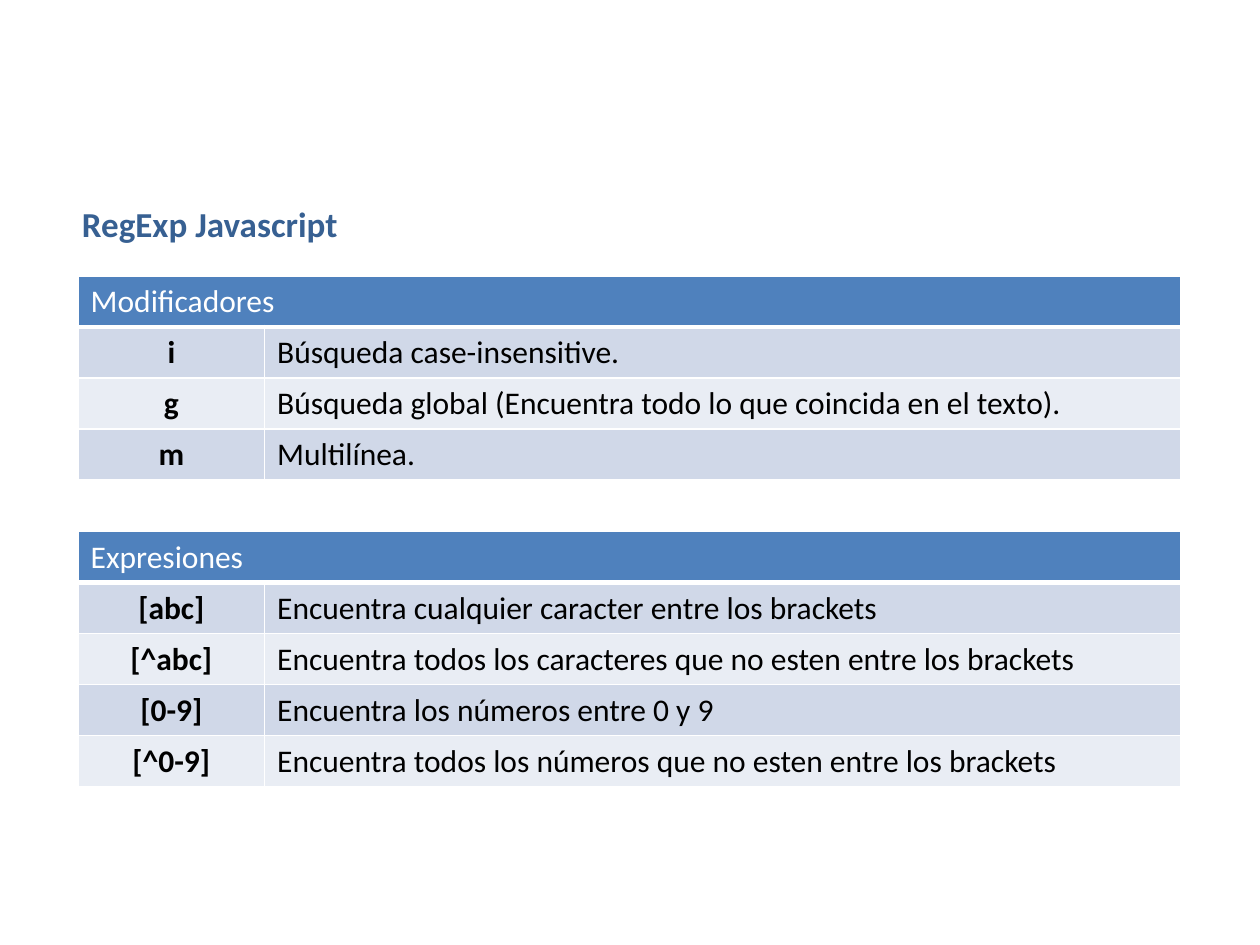
from lxml import etree
from pptx import Presentation
from pptx import util as u
from pptx.dml.color import RGBColor
from pptx.enum import text
from pptx.oxml.ns import qn

# Content
TITLE = "RegExp Javascript"
TABLES = [
    {"top": 2.19, "header": "Modificadores", "rows": [
        ("i", "Búsqueda case-insensitive."),
        ("g", "Búsqueda global (Encuentra todo lo que coincida en el texto)."),
        ("m", "Multilínea."),
    ]},
    {"top": 4.22, "header": "Expresiones", "rows": [
        ("[abc]", "Encuentra cualquier caracter entre los brackets"),
        ("[^abc]", "Encuentra todos los caracteres que no esten entre los brackets"),
        ("[0-9]", "Encuentra los números entre 0 y 9"),
        ("[^0-9]", "Encuentra todos los números que no esten entre los brackets"),
    ]},
]

# Format
COLORS = {"title": "376092", "header": "4F81BD", "odd": "D0D8E8",
          "even": "E9EDF4", "white": "FFFFFF", "black": "000000"}
FONT = "Calibri"
TABLE_LEFT = 0.62
COLUMN_WIDTHS = (1.48, 7.27)
ROW_HEIGHT = 0.405


def write_text(frame, content, size=18, color="black", bold=False,
               align=text.PP_ALIGN.LEFT):
    paragraph = frame.paragraphs[0]
    paragraph.alignment = align
    run = paragraph.add_run()
    run.text = content
    run.font.name = FONT
    run.font.size = u.Pt(size)
    run.font.bold = bold
    run.font.color.rgb = RGBColor.from_string(COLORS[color])


def format_cell(cell, fill, bottom=1):
    properties = cell._tc.get_or_add_tcPr()
    for side, width in (("L", 1), ("R", 1), ("T", 1), ("B", bottom)):
        line = etree.SubElement(properties, qn(f"a:ln{side}"), w=str(u.Pt(width)))
        solid = etree.SubElement(line, qn("a:solidFill"))
        etree.SubElement(solid, qn("a:srgbClr"), val=COLORS["white"])
    cell.fill.solid()
    cell.fill.fore_color.rgb = RGBColor.from_string(COLORS[fill])


def add_reference_table(slide, top, header, rows):
    count = len(rows) + 1
    table = slide.shapes.add_table(
        count, 2, u.Inches(TABLE_LEFT), u.Inches(top),
        u.Inches(sum(COLUMN_WIDTHS)), u.Inches(ROW_HEIGHT * count)).table
    for column, width in zip(table.columns, COLUMN_WIDTHS):
        column.width = u.Inches(width)
    for row in table.rows:
        row.height = u.Inches(ROW_HEIGHT)

    # Header across both columns
    table.cell(0, 0).merge(table.cell(0, 1))
    for column in range(2):
        format_cell(table.cell(0, column), "header", bottom=3)
    write_text(table.cell(0, 0).text_frame, header, color="white")

    # Symbol and meaning
    for index, (symbol, meaning) in enumerate(rows, start=1):
        symbol_cell, meaning_cell = table.cell(index, 0), table.cell(index, 1)
        for cell in (symbol_cell, meaning_cell):
            format_cell(cell, "odd" if index % 2 else "even")
        write_text(symbol_cell.text_frame, symbol, bold=True,
                   align=text.PP_ALIGN.CENTER)
        write_text(meaning_cell.text_frame, meaning)


def main():
    presentation = Presentation()
    presentation.slide_width = u.Inches(10)
    presentation.slide_height = u.Inches(7.5)
    slide = presentation.slides.add_slide(presentation.slide_layouts[5])

    # Title
    title = slide.shapes.title
    title.left, title.top = u.Inches(0.55), u.Inches(1.56)
    title.width, title.height = u.Inches(2.25), u.Inches(0.44)
    frame = title.text_frame
    frame.word_wrap = False
    frame.auto_size = text.MSO_AUTO_SIZE.SHAPE_TO_FIT_TEXT
    frame.vertical_anchor = text.MSO_ANCHOR.TOP
    write_text(frame, TITLE, size=20, color="title", bold=True)

    # Tables
    for table in TABLES:
        add_reference_table(slide, **table)

    presentation.save("out.pptx")


if __name__ == "__main__":
    main()
